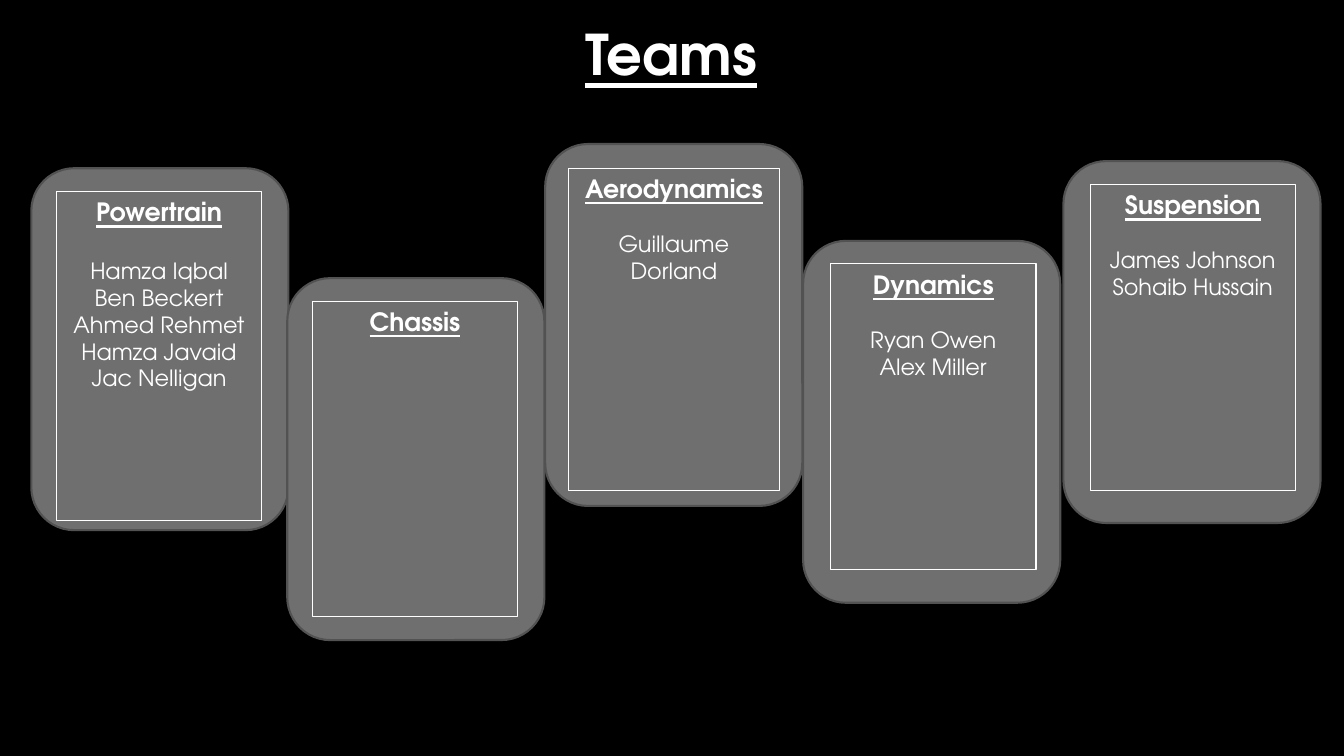
from pptx import Presentation
from pptx.dml.color import RGBColor
from pptx.enum.shapes import MSO_SHAPE
from pptx.enum.text import MSO_ANCHOR, PP_ALIGN
from pptx.util import Cm, Pt

ROUNDED = MSO_SHAPE.ROUNDED_RECTANGLE
RECTANGLE = MSO_SHAPE.RECTANGLE
CENTER = PP_ALIGN.CENTER
TOP = MSO_ANCHOR.TOP

FONT = "TeX Gyre Adventor"
COLORS = {"background": "000000", "text": "FFFFFF", "card": "6F6F6F", "edge": "525252"}
CARD_SIZE = (6.48, 9.12)

# Team, card (left, top), list box (left, top, width, height), gap in points, members
TEAMS = [
    ("Powertrain", (0.79, 4.24), (1.42, 4.83, 5.18, 8.28), 21.6,
     ["Hamza Iqbal", "Ben Beckert", "Ahmed Rehmet", "Hamza Javaid", "Jac Nelligan"]),
    ("Chassis", (7.24, 7.01), (7.87, 7.59, 5.18, 7.95), 0, []),
    ("Aerodynamics", (13.74, 3.63), (14.33, 4.24, 5.31, 8.13), 19.2,
     ["Guillaume Dorland"]),
    ("Dynamics", (20.24, 6.07), (20.93, 6.65, 5.18, 7.7), 19.2,
     ["Ryan Owen", "Alex Miller"]),
    ("Suspension", (26.8, 4.06), (27.48, 4.65, 5.16, 7.7), 19.2,
     ["James Johnson", "Sohaib Hussain"]),
]


class TeamSlide:
    def __init__(self, prs):
        self.s = prs.slides.add_slide(prs.slide_layouts[6])
        fill = self.s.background.fill
        fill.solid()
        fill.fore_color.rgb = self.color("background")

    def color(self, name):
        return RGBColor.from_string(COLORS[name])

    def style(self, p, size, heading=False):
        p.alignment = CENTER
        for r in p.runs:
            r.font.name = FONT
            r.font.size = Pt(size)
            r.font.bold = r.font.underline = heading
            r.font.color.rgb = self.color("text")

    def shape(self, kind, box, line, width):
        sp = self.s.shapes.add_shape(kind, *map(Cm, box))
        sp.shadow.inherit = False
        sp.line.color.rgb = self.color(line)
        sp.line.width = Pt(width)
        return sp

    def title(self, text, box):
        tf = self.s.shapes.add_textbox(*map(Cm, box)).text_frame
        tf.word_wrap = True
        tf.text = text
        self.style(tf.paragraphs[0], 40, heading=True)

    def card(self, position):
        sp = self.shape(ROUNDED, position + CARD_SIZE, "edge", 1.5)
        sp.fill.solid()
        sp.fill.fore_color.rgb = self.color("card")

    def member_list(self, team, members, box, gap):
        sp = self.shape(RECTANGLE, box, "text", 0.75)
        sp.fill.background()
        tf = sp.text_frame
        tf.word_wrap = True
        tf.vertical_anchor = TOP
        tf.text = team
        self.style(tf.paragraphs[0], 18, heading=True)
        for i, member in enumerate(members):
            p = tf.add_paragraph()
            p.text = member
            p.space_before = Pt(0 if i else gap)
            self.style(p, 16)


def main():
    prs = Presentation()
    prs.slide_width, prs.slide_height = Cm(33.87), Cm(19.05)
    slide = TeamSlide(prs)

    # Heading
    slide.title("Teams", (2.31, 0.36, 29.21, 1.96))

    # Cards behind the lists
    for _, position, *_ in TEAMS:
        slide.card(position)

    # Team lists
    for team, _, box, gap, members in TEAMS:
        slide.member_list(team, members, box, gap)

    prs.save("out.pptx")


if __name__ == "__main__":
    main()
